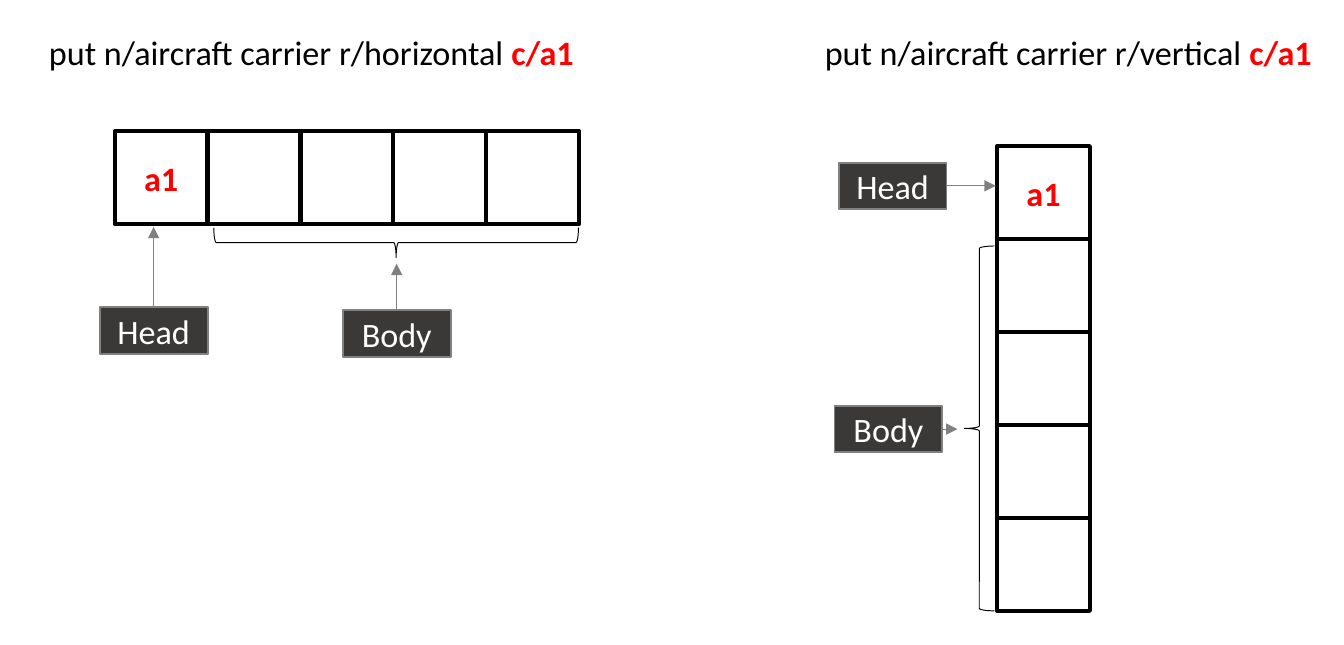
from lxml.etree import SubElement
from pptx import Presentation
from pptx.dml.color import RGBColor
from pptx.enum.shapes import MSO_CONNECTOR, MSO_SHAPE
from pptx.enum.text import MSO_ANCHOR, MSO_AUTO_SIZE, PP_ALIGN
from pptx.oxml.ns import qn
from pptx.util import Inches, Pt

SIDE = 0.68
COUNT = 5
TAG_W, TAG_H = 0.79, 0.34
BRACE_W, BRACE_H = 0.22, 2.67
BLACK, WHITE, RED, GRAY, DARK = "000000", "FFFFFF", "FF0000", "808080", "3B3838"
TOP, RIGHT = 0, 3


def color(code):
    return RGBColor.from_string(code)


def write(shape, text, tint=BLACK, bold=False, align=PP_ALIGN.LEFT):
    """Add a run to the shape's first paragraph."""
    line = shape.text_frame.paragraphs[0]
    line.alignment = align
    run = line.add_run()
    run.text = text
    run.font.name = "Calibri"
    run.font.size = Pt(18)
    run.font.bold = bold
    run.font.color.rgb = color(tint)


def draw(slide, kind, left, top, width, height, fill=None, line=BLACK, weight=0.5):
    shape = slide.shapes.add_shape(
        kind, Inches(left), Inches(top), Inches(width), Inches(height))
    shape.shadow.inherit = False
    if fill:
        shape.fill.solid()
        shape.fill.fore_color.rgb = color(fill)
    else:
        shape.fill.background()
    shape.line.color.rgb = color(line)
    shape.line.width = Pt(weight)
    shape.text_frame.vertical_anchor = MSO_ANCHOR.MIDDLE
    return shape


def brace(slide, left, top, turn):
    shape = draw(slide, MSO_SHAPE.RIGHT_BRACE, left, top, BRACE_W, BRACE_H)
    shape.rotation = turn


def arrow(slide, tag, side, start, end):
    link = slide.shapes.add_connector(
        MSO_CONNECTOR.STRAIGHT, *map(Inches, (*start, *end)))
    link.begin_connect(tag, side)
    link.line.color.rgb = color(GRAY)
    link.line.width = Pt(0.5)
    props = link._element.spPr
    SubElement(props.get_or_add_ln(), qn("a:tailEnd"), type="triangle")
    SubElement(props, qn("a:effectLst"))


def label(slide, text, left, top, side, reach):
    """Draw a tag with an arrow from its top or right side to the given coordinate."""
    tag = draw(slide, MSO_SHAPE.RECTANGLE, left, top, TAG_W, TAG_H, DARK, GRAY, 1)
    write(tag, text, WHITE, align=PP_ALIGN.CENTER)
    if side == TOP:
        mid = left + TAG_W / 2
        arrow(slide, tag, side, (mid, top), (mid, reach))
    else:
        mid = top + TAG_H / 2
        arrow(slide, tag, side, (left + TAG_W, mid), (reach, mid))


def ship(slide, left, top, across, down):
    """Draw the cells, stepping by the given direction; the first is the head."""
    for i in range(COUNT):
        cell = draw(slide, MSO_SHAPE.RECTANGLE, left + i * SIDE * across,
                    top + i * SIDE * down, SIDE, SIDE, WHITE, weight=2.25)
        if i == 0:
            write(cell, "a1", RED, True, PP_ALIGN.CENTER)


def command(slide, way, left, top, width):
    box = slide.shapes.add_textbox(
        Inches(left), Inches(top), Inches(width), Inches(0.4))
    box.text_frame.word_wrap = False
    box.text_frame.auto_size = MSO_AUTO_SIZE.SHAPE_TO_FIT_TEXT
    write(box, f"put n/aircraft carrier r/{way} ")
    write(box, "c/a1", RED, True)


def flat(slide, left, top):
    command(slide, "horizontal", left, top, 4.09)
    ship(slide, left + 0.58, top + 0.78, 1, 0)
    brace(slide, left + 2.53, top + 0.26, 90)
    label(slide, "Head", left + 0.47, top + 2.07, TOP, top + 1.48)
    label(slide, "Body", left + 2.25, top + 2.09, TOP, top + 1.75)


def tall(slide, left, top):
    command(slide, "vertical", left, top, 3.81)
    ship(slide, left + 1.36, top + 0.89, 0, 1)
    brace(slide, left + 1.12, top + 1.62, 180)
    label(slide, "Head", left + 0.2, top + 1.01, RIGHT, left + 1.35)
    label(slide, "Body", left + 0.17, top + 2.79, RIGHT, left + 1.07)


def main():
    deck = Presentation()
    deck.slide_width, deck.slide_height = Inches(9.84), Inches(4.72)
    slide = deck.slides.add_slide(deck.slide_layouts[6])
    flat(slide, 0.26, 0.18)
    tall(slide, 5.94, 0.18)
    deck.save("out.pptx")


if __name__ == "__main__":
    main()
